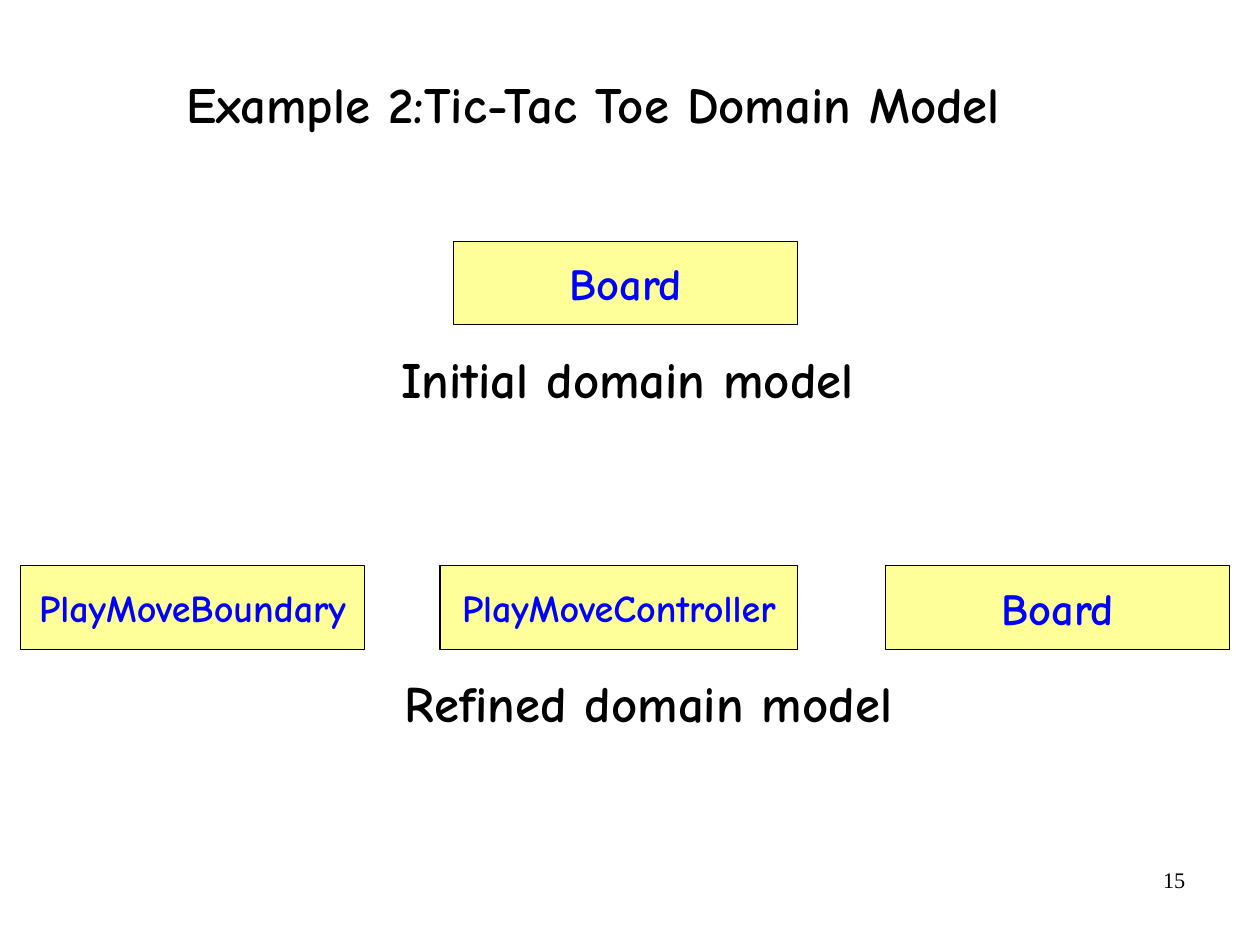
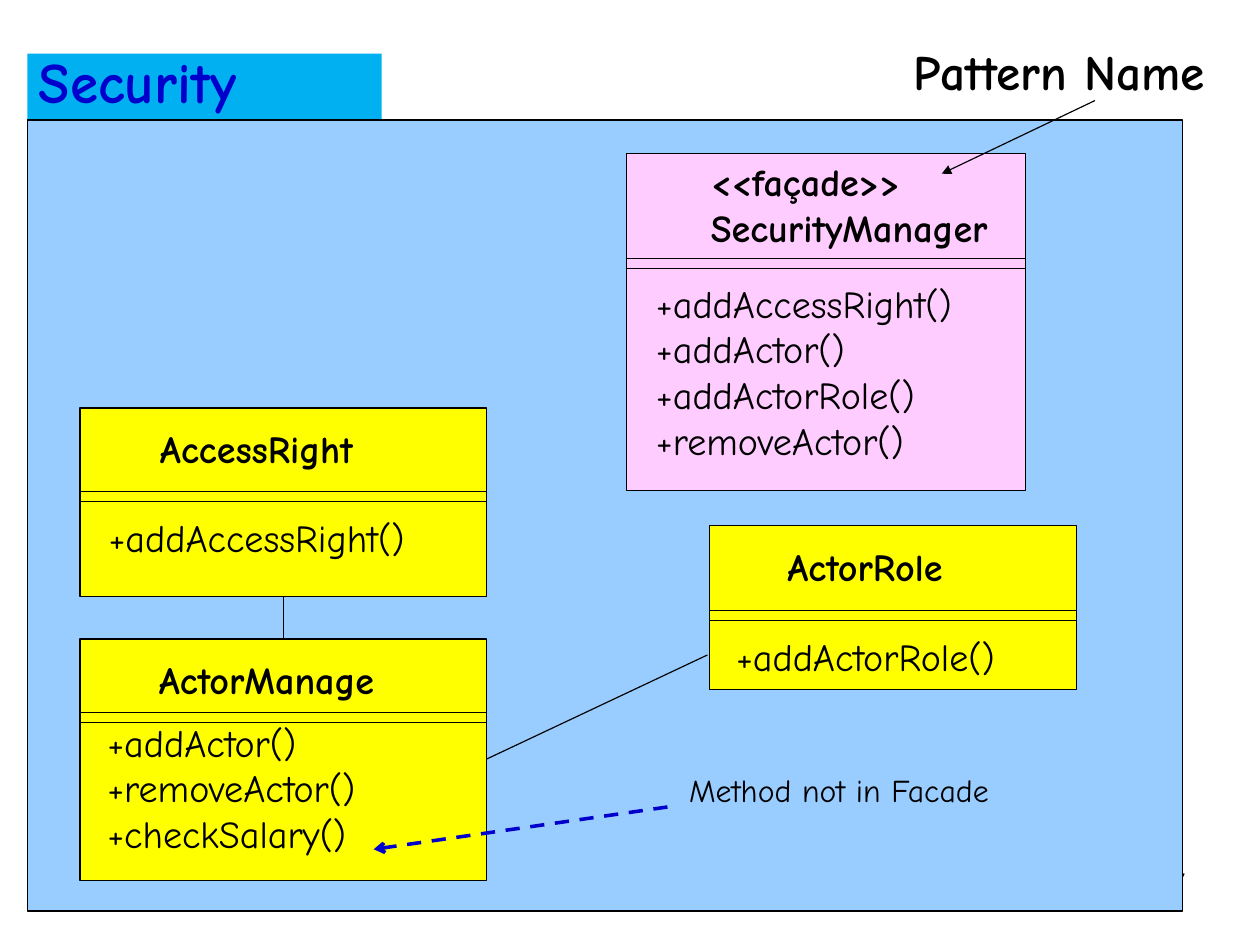
from collections import namedtuple

from lxml import etree
from pptx import Presentation
from pptx.dml.color import RGBColor
from pptx.enum.dml import MSO_LINE
from pptx.enum.shapes import MSO_CONNECTOR, MSO_SHAPE
from pptx.enum.text import MSO_ANCHOR, MSO_AUTO_SIZE, PP_ALIGN
from pptx.oxml.ns import qn
from pptx.util import Inches, Pt

COLORS = {
    "black": "000000",
    "link_blue": "0000FF",
    "deep_blue": "0000CC",
    "tab": "00B0F0",
    "panel": "99CCFF",
    "cream": "FFFF99",
    "yellow": "FFFF00",
    "pink": "FFCCFF",
}
FONT = "Comic Neue"
NUMBER_FONT = "Times New Roman"
TEXT_INSETS = (0.11, 0.06)
DIVIDER_GAP = 0.09

Box = namedtuple("Box", "left top width height")


def color(name):
    return RGBColor.from_string(COLORS[name])


def place(shape, box):
    shape.left, shape.top, shape.width, shape.height = map(Inches, box)


def write(shape, text, size=24, bold=False, ink="black", font=FONT,
          align=PP_ALIGN.LEFT, anchor=MSO_ANCHOR.TOP, insets=TEXT_INSETS,
          line_spacing=None):
    frame = shape.text_frame
    frame.word_wrap = True
    frame.auto_size = MSO_AUTO_SIZE.NONE
    frame.vertical_anchor = anchor
    frame.margin_left = frame.margin_right = Inches(insets[0])
    frame.margin_top = frame.margin_bottom = Inches(insets[1])
    frame.text = text
    for para in frame.paragraphs:
        para.alignment = align
        para.space_before = Pt(0)
        if line_spacing:
            para.line_spacing = line_spacing
        for span in para.runs:
            span.font.name = font
            span.font.size = Pt(size)
            span.font.bold = bold
            span.font.color.rgb = color(ink)


def add_text(page, box, text, **style):
    write(page.shapes.add_textbox(*map(Inches, box)), text, **style)


def add_rectangle(page, box, fill):
    shape = page.shapes.add_shape(MSO_SHAPE.RECTANGLE, *map(Inches, box))
    shape.shadow.inherit = False
    shape.fill.solid()
    shape.fill.fore_color.rgb = color(fill)
    shape.line.color.rgb = color("black")
    shape.line.width = Pt(0.75)
    return shape


def add_line(page, start, end, ink="black", width=0.75, dash=None, head=None):
    connector = page.shapes.add_connector(
        MSO_CONNECTOR.STRAIGHT, *map(Inches, (*start, *end)))
    connector.line.color.rgb = color(ink)
    connector.line.width = Pt(width)
    if dash:
        connector.line.dash_style = dash
    properties = connector._element.spPr
    if head:
        outline = properties.find(qn("a:ln"))
        etree.SubElement(outline, qn("a:tailEnd"), type=head)
    etree.SubElement(properties, qn("a:effectLst"))


def add_page(deck, title_box, title, number, **title_style):
    page = deck.slides.add_slide(deck.slide_layouts[5])
    place(page.shapes.title, title_box)
    write(page.shapes.title, title, bold=True, **title_style)
    add_text(page, Box(7.9, 7.53, 2.57, 0.57), number, size=14,
             font=NUMBER_FONT, align=PP_ALIGN.RIGHT, insets=(0.1, 0.05))
    return page


def add_domain_model(page, top, caption, caption_left, concepts):
    for left, width, name, size in concepts:
        shape = add_rectangle(page, Box(left, top, width, 0.73), "cream")
        write(shape, name, size=size, bold=True, ink="link_blue",
              align=PP_ALIGN.CENTER, anchor=MSO_ANCHOR.MIDDLE, insets=(0, 0))
    add_text(page, Box(caption_left, top + 0.87, 4.8, 0.64), caption,
             size=32, bold=True)


def add_class(page, box, name, methods, divider, methods_top,
              fill="yellow", name_offset=(0.58, 0.09), methods_left=0.13):
    add_rectangle(page, box, fill)
    for lines, (x, y), bold in (
            (name, name_offset, True),
            (methods, (methods_left, methods_top), False)):
        add_text(page,
                 Box(box.left + x, box.top + y, box.width - x,
                     0.11 + 0.4 * len(lines)),
                 "\n".join(lines), bold=bold)
    for offset in (divider, divider + DIVIDER_GAP):
        y = box.top + offset
        add_line(page, (box.left, y), (box.left + box.width, y))


def build_domain_models(deck):
    page = add_page(deck, Box(0.51, 0.22, 9.37, 1.42),
                    "Example 2:Tic-Tac Toe Domain Model", "15", size=32,
                    align=PP_ALIGN.CENTER, anchor=MSO_ANCHOR.MIDDLE,
                    insets=(0.02, 0.06), line_spacing=0.94)
    add_domain_model(page, 2.11, "Initial domain model", 3.4,
                     [(3.97, 3.01, "Board", 28)])
    add_domain_model(page, 4.95, "Refined domain model", 3.43, [
        (0.18, 3.01, "PlayMoveBoundary", 24),
        (3.85, 3.13, "PlayMoveController", 24),
        (7.75, 3.01, "Board", 28),
    ])


def build_security_package(deck):
    panel = Box(0.24, 1.05, 10.11, 6.92)
    tab = Box(panel.left, panel.top - 0.58, 3.1, 0.58)
    page = add_page(deck, tab, "Security", "67", size=36, ink="deep_blue",
                    insets=(0.1, 0.05), line_spacing=0.8)
    page.shapes.title.fill.solid()
    page.shapes.title.fill.fore_color.rgb = color("tab")
    add_rectangle(page, panel, "panel")

    access_right = Box(0.7, 3.57, 3.56, 1.65)
    actor_manage = Box(0.7, 5.59, 3.56, 2.11)
    actor_role = Box(6.21, 4.6, 3.21, 1.43)
    facade = Box(5.48, 1.34, 3.49, 2.95)
    add_class(page, actor_role, ["ActorRole"], ["+addActorRole()"], 0.74, 0.88,
              name_offset=(0.57, 0.09), methods_left=0.12)
    add_class(page, actor_manage, ["ActorManage"],
              ["+addActor()", "+removeActor()", "+checkSalary()"], 0.64, 0.64)
    add_class(page, access_right, ["AccessRight"], ["+addAccessRight()"],
              0.73, 0.87, name_offset=(0.59, 0.09), methods_left=0.14)
    add_class(page, facade, ["<<façade>>", "SecurityManager"],
              ["+addAccessRight()", "+addActor()", "+addActorRole()",
               "+removeActor()"],
              0.92, 1.05, fill="pink", name_offset=(0.63, -0.01),
              methods_left=0.15)

    center = access_right.left + access_right.width / 2
    add_line(page, (center, actor_manage.top),
             (center, access_right.top + access_right.height))
    add_line(page, (actor_manage.left + actor_manage.width, 6.64),
             (actor_role.left - 0.02, 5.73))

    add_text(page, Box(5.92, 6.68, 3.1, 0.44), "Method not in Facade", size=20)
    add_line(page, (5.84, 7.06), (3.27, 7.43), ink="deep_blue", width=2.25,
             dash=MSO_LINE.DASH, head="arrow")
    add_text(page, Box(7.88, 0.3, 3.1, 0.63), "Pattern Name", size=31,
             bold=True)
    add_line(page, (9.58, 0.88), (8.24, 1.52), head="triangle")


def main():
    deck = Presentation()
    deck.slide_width = Pt(793.75)
    deck.slide_height = Pt(595.25)
    build_domain_models(deck)
    build_security_package(deck)
    deck.save("out.pptx")


if __name__ == "__main__":
    main()
